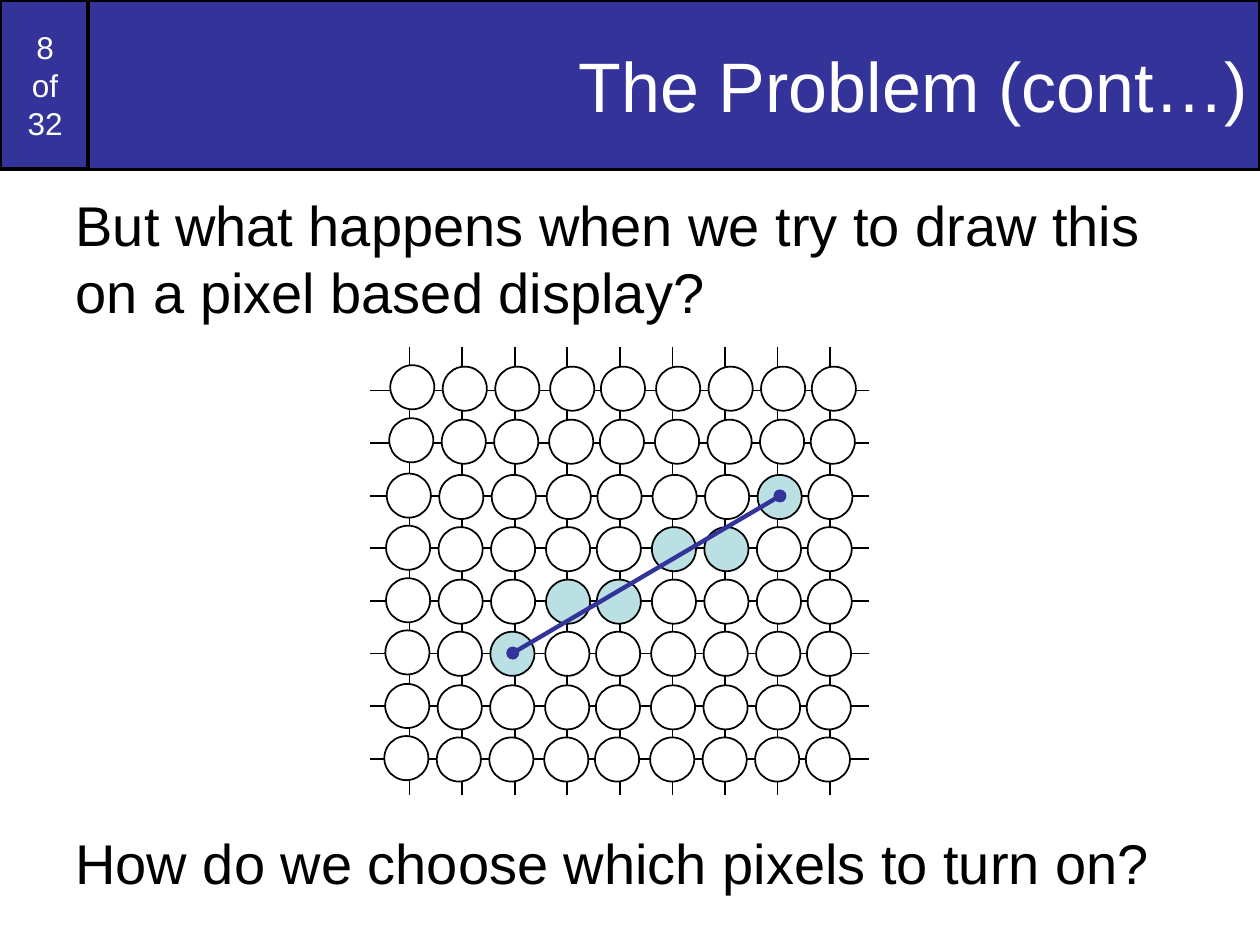
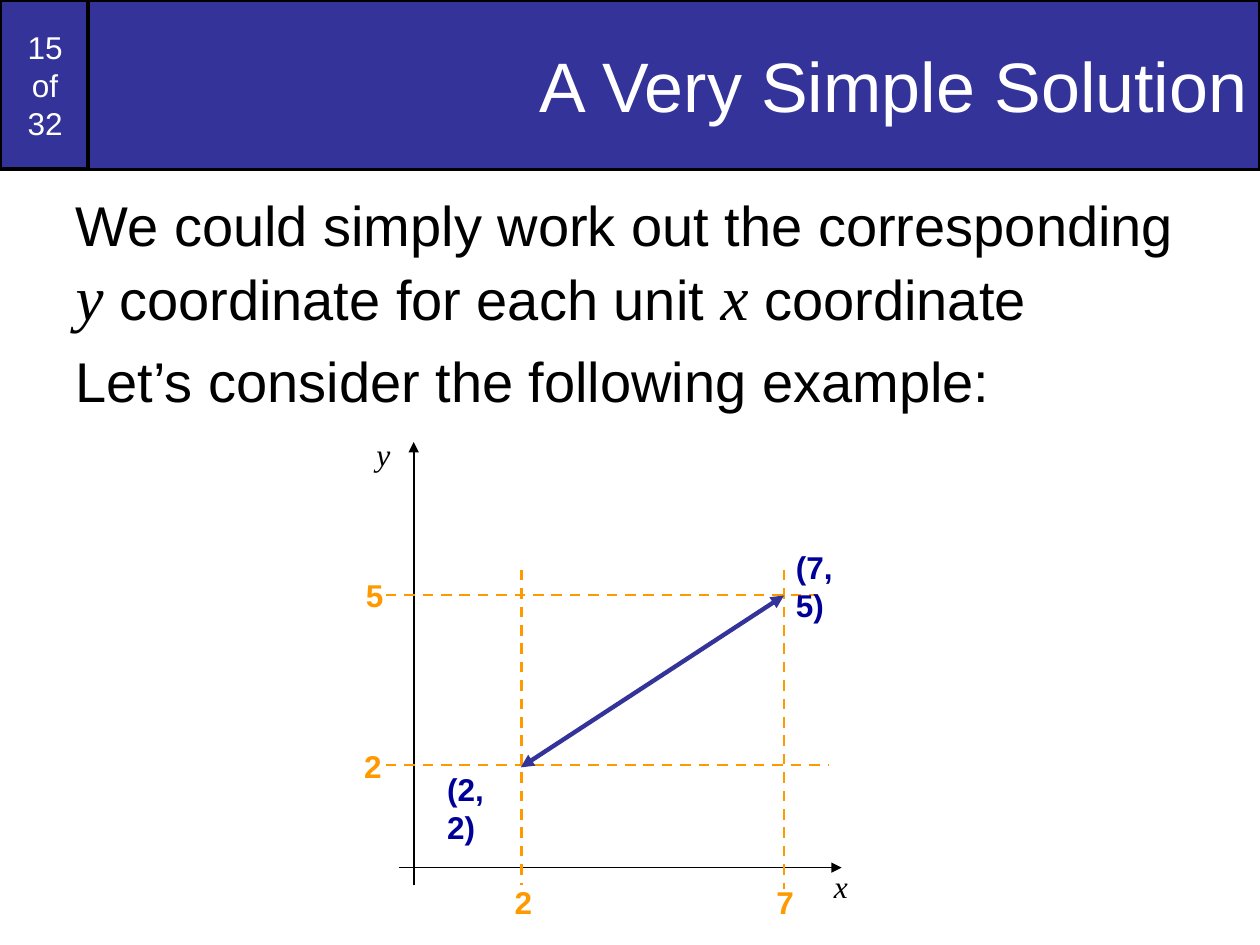
from lxml import etree
from pptx import Presentation
from pptx.dml.color import RGBColor
from pptx.enum.dml import MSO_LINE
from pptx.enum.shapes import MSO_CONNECTOR, MSO_SHAPE
from pptx.enum.text import MSO_ANCHOR, MSO_AUTO_SIZE, PP_ALIGN
from pptx.oxml.ns import qn
from pptx.util import Pt

RECT, OVAL = MSO_SHAPE.RECTANGLE, MSO_SHAPE.OVAL
LINE, DASH = MSO_CONNECTOR.STRAIGHT, MSO_LINE.DASH
MIDDLE, FIXED = MSO_ANCHOR.MIDDLE, MSO_AUTO_SIZE.NONE
CENTER, RIGHT = PP_ALIGN.CENTER, PP_ALIGN.RIGHT
BLUE, NAVY, ORANGE, AQUA = "333399", "000099", "FF9900", "BBE0E3"
BLACK, WHITE = "000000", "FFFFFF"
SANS, SERIF = "Arial", "Times New Roman"
hue = RGBColor.from_string


def coat(shape, fill, width):
    """Give a shape a plain fill and a black outline."""
    shape.fill.solid()
    shape.fill.fore_color.rgb = hue(fill)
    shape.line.color.rgb = hue(BLACK)
    shape.line.width = Pt(width)


def link(slide, ends, color=BLACK, width=1, dash=None, head=None, tail=None):
    """Draw a line through ends (x1, y1, x2, y2), with optional end marks."""
    line = slide.shapes.add_connector(LINE, *map(Pt, ends))
    line.line.color.rgb = hue(color)
    line.line.width = Pt(width)
    if dash:
        line.line.dash_style = dash
    props = line._element.spPr
    for tag, mark in (("a:headEnd", head), ("a:tailEnd", tail)):
        if mark:
            etree.SubElement(props.find(qn("a:ln")), qn(tag), type=mark)
    etree.SubElement(props, qn("a:effectLst"))


deck = Presentation()
deck.slide_width, deck.slide_height = Pt(720), Pt(540)

# Each paragraph is a list of pieces; one-letter pieces are variables.
pages = [
    (8, "The Problem (cont…)", 93,
     [["But what happens when we try to draw this on a pixel based display?"]]),
    (15, "A Very Simple Solution", 435,
     [["We could simply work out the corresponding ", "y",
       " coordinate for each unit ", "x", " coordinate"],
      ["Let’s consider the following example:"]]),
]

for number, head, height, paras in pages:
    slide = deck.slides.add_slide(deck.slide_layouts[1])
    title, body = slide.placeholders

    tab = slide.shapes.add_shape(RECT, 0, 0, Pt(51.6), Pt(96.7))
    tab.shadow.inherit = False
    coat(tab, BLUE, 2)
    title._element.addprevious(tab._element)
    tab.text_frame.text = f"{number}\vof\v32"

    title.left, title.top, title.width, title.height = map(Pt, (50.4, 0, 669.6, 97))
    coat(title, BLUE, 2)
    title.text_frame.text = head

    for shape, size, align in ((tab, 18, CENTER), (title, 40, RIGHT)):
        frame = shape.text_frame
        frame.auto_size = FIXED
        frame.vertical_anchor = MIDDLE
        para = frame.paragraphs[0]
        para.alignment = align
        para.font.size = Pt(size)
        para.font.name = SANS
        para.font.color.rgb = hue(WHITE)

    body.left, body.top, body.width, body.height = map(Pt, (36, 105, 648, height))
    frame = body.text_frame
    frame.auto_size = FIXED
    for i, parts in enumerate(paras):
        para = frame.paragraphs[0] if i == 0 else frame.add_paragraph()
        para.space_before = Pt(8)
        para.font.size = Pt(32)
        para.font.name = SANS
        para.font.color.rgb = hue(BLACK)
        props = para._p.get_or_add_pPr()
        props.set("marL", "0")
        props.set("indent", "0")
        props.find(qn("a:spcBef")).addnext(etree.Element(qn("a:buNone")))
        for part in parts:
            run = para.add_run()
            run.text = part
            if len(part) == 1:
                run.font.name = SERIF
                run.font.size = Pt(36)
                run.font.italic = True

grid, plot = deck.slides

# Pixel grid: the rows of dots lean slightly to the right towards the top.
STEP = 30.05
for i in range(9):
    x = 234 + i * STEP
    link(grid, (x, 198, x, 454.5))
for j in range(8):
    y = 223.2 + j * STEP
    link(grid, (211.7, y, 496.8, y))

lefts = [219.6, 249.6, 279.6, 311, 340, 371.5, 401.5, 431.5, 460.5]
rows = [(209.5, 3.4), (239.8, 2.8), (271.4, 1.4), (301.2, 1),
        (331.2, 1), (361, 0.6), (391.6, 0.5), (421.4, 0)]
lit = {(2, 7), (3, 5), (3, 6), (4, 3), (4, 4), (5, 2)}
for j, (top, lean) in enumerate(rows):
    for i, left in enumerate(lefts):
        lift = 0.8 if i == 0 else 0
        dot = grid.shapes.add_shape(
            OVAL, Pt(left + lean), Pt(top - lift), Pt(25.2), Pt(25.2))
        dot.shadow.inherit = False
        coat(dot, AQUA if (j, i) in lit else WHITE, 1)
link(grid, (293, 373.2, 445.7, 283.4), BLUE, 2.5, head="oval", tail="oval")

ask = grid.shapes.add_textbox(Pt(36), Pt(470), Pt(648), Pt(55))
ask.text_frame.word_wrap = True
para = ask.text_frame.paragraphs[0]
para.text = "How do we choose which pixels to turn on?"
para.space_before = Pt(8)
para.font.size = Pt(32)
para.font.name = SANS
para.font.color.rgb = hue(BLACK)

# Plot of the example line
for ends in ((236.4, 506, 236.4, 252.6), (227.8, 495.8, 481, 495.8)):
    link(plot, ends, tail="triangle")
for ends in ((220.5, 437.2, 473.8, 437.2), (220.5, 340, 467.5, 340),
             (298, 325.6, 298, 505.5), (448, 325.6, 448, 508.3)):
    link(plot, ends, ORANGE, 1.5, DASH)
link(plot, (297.6, 438.5, 448, 340.3), BLUE, 2.5, head="triangle", tail="triangle")

labels = [
    ("x", 469.5, 492, 22, BLACK), ("y", 208, 245, 22, BLACK),
    ("(2, 2)", 248.4, 436.5, 56, NAVY), ("(7, 5)", 447.8, 309.8, 56, NAVY),
    ("2", 287, 501, 24.5, ORANGE), ("7", 436.6, 501, 24.5, ORANGE),
    ("2", 201, 423.3, 24.5, ORANGE), ("5", 202, 325.7, 24.5, ORANGE),
]
for words, left, top, width, color in labels:
    box = plot.shapes.add_textbox(Pt(left), Pt(top), Pt(width), Pt(29))
    box.text_frame.word_wrap = False
    para = box.text_frame.paragraphs[0]
    para.text = words
    axis = words in ("x", "y")
    para.font.size = Pt(18)
    para.font.name = SERIF if axis else SANS
    para.font.italic = axis
    para.font.bold = not axis
    para.font.color.rgb = hue(color)

deck.save("out.pptx")
